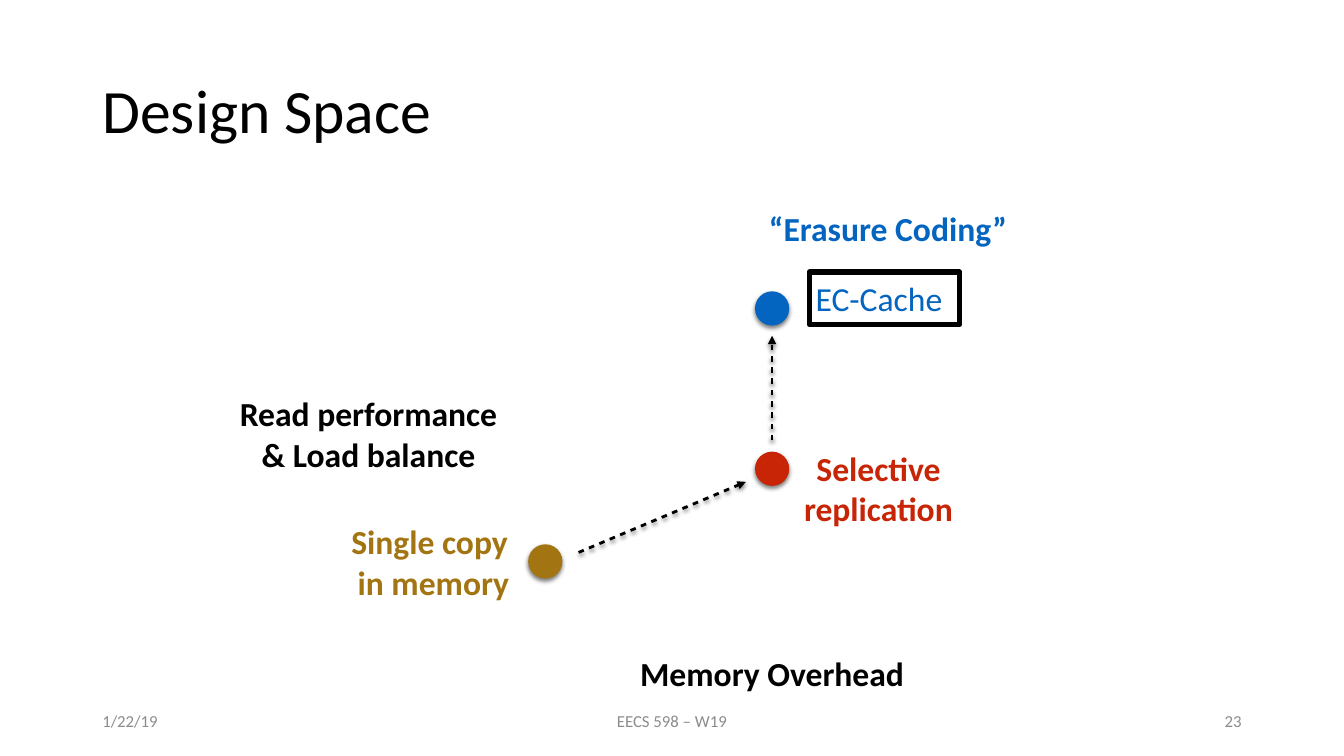
from dataclasses import dataclass

from lxml import etree
from pptx import Presentation
from pptx.dml.color import RGBColor
from pptx.enum.shapes import MSO_CONNECTOR as Connector, MSO_SHAPE as Preset
from pptx.enum.text import MSO_ANCHOR as Anchor, MSO_AUTO_SIZE as AutoSize, PP_ALIGN as Align
from pptx.oxml import parse_xml
from pptx.oxml.ns import nsdecls, qn
from pptx.util import Pt

COLORS = {
    "black": "000000",
    "grey": "8C8C8C",
    "gold": "A37512",
    "red": "C82506",
    "blue": "0365C0",
}
FONT = "Calibri"
DOT_SIZE = 24.5
INSET = 4.3
ONE_LINE, TWO_LINES = 37.4, 66.2
FOOTER_TOP, FOOTER_HEIGHT = 500.4, 28.8


@dataclass
class Label:
    lines: list[str]
    left: float
    top: float
    width: float
    color: str = "black"
    align: Align = Align.CENTER


@dataclass
class Dot:
    left: float
    top: float
    color: str


@dataclass
class Arrow:
    start: tuple[float, float]
    end: tuple[float, float]


@dataclass
class Footer:
    text: str
    left: float
    width: float
    align: Align


LABELS = [
    Label(["Memory Overhead"], 432, 462.2, 239),
    Label(["Read performance ", "& Load balance "], 144.7, 276.5, 242.6),
    Label(["Single copy ", "in memory"], 233.3, 367.9, 152.6, "gold"),
    Label(["Selective", "replication"], 557.3, 315.4, 140.4, "red"),
    Label(["“Erasure Coding”"], 545, 144, 223.2, "blue", Align.LEFT),
]
DOTS = [
    Dot(377.3, 388.8, "gold"),
    Dot(539.3, 322.6, "red"),
    Dot(539.3, 208.1, "blue"),
]
ARROWS = [
    Arrow((413.3, 394.6), (532.8, 344.2)),
    Arrow((551.5, 314.6), (551.5, 239.8)),
]
FOOTERS = [
    Footer("1/22/19", 66, 216, Align.LEFT),
    Footer("EECS 598 – W19", 318, 324, Align.CENTER),
    Footer("23", 678, 216, Align.RIGHT),
]


def rgb(name: str) -> RGBColor:
    return RGBColor.from_string(COLORS[name])


def write_text(box, lines: list[str], *, size: float = 24, color: str = "black",
               bold: bool = False, align: Align = Align.CENTER,
               inset: float | None = None, spacing: float | None = None) -> None:
    frame = box.text_frame
    frame.word_wrap = True
    frame.auto_size = AutoSize.NONE
    frame.vertical_anchor = Anchor.MIDDLE
    if inset is not None:
        frame.margin_left = frame.margin_right = Pt(inset)
        frame.margin_top = frame.margin_bottom = Pt(inset)
    for index, line in enumerate(lines):
        para = frame.paragraphs[0] if index == 0 else frame.add_paragraph()
        para.alignment = align
        para.line_spacing = spacing
        span = para.add_run()
        span.text = line
        span.font.name = FONT
        span.font.size = Pt(size)
        span.font.bold = bold
        span.font.color.rgb = rgb(color)


def add_shadow(shape) -> None:
    properties = shape._element.spPr
    for effects in properties.findall(qn("a:effectLst")):
        properties.remove(effects)
    properties.append(parse_xml(
        f'<a:effectLst {nsdecls("a")}>'
        f'<a:outerShdw blurRad="{Pt(3)}" dist="{Pt(2)}" dir="5400000" rotWithShape="0">'
        f'<a:srgbClr val="{COLORS["black"]}"><a:alpha val="50000"/></a:srgbClr>'
        '</a:outerShdw></a:effectLst>'))


def add_label(page, label: Label) -> None:
    height = ONE_LINE if len(label.lines) == 1 else TWO_LINES
    box = page.shapes.add_textbox(Pt(label.left), Pt(label.top), Pt(label.width), Pt(height))
    write_text(box, label.lines, color=label.color, bold=True, align=label.align, inset=INSET)


def add_dot(page, dot: Dot) -> None:
    circle = page.shapes.add_shape(Preset.OVAL, Pt(dot.left), Pt(dot.top),
                                   Pt(DOT_SIZE), Pt(DOT_SIZE))
    circle.fill.solid()
    circle.fill.fore_color.rgb = rgb(dot.color)
    circle.line.fill.background()
    add_shadow(circle)


def add_arrow(page, arrow: Arrow) -> None:
    points = [Pt(value) for value in (*arrow.start, *arrow.end)]
    connector = page.shapes.add_connector(Connector.STRAIGHT, *points)
    connector.line.width = Pt(2)
    connector.line.color.rgb = rgb("black")
    outline = connector._element.spPr.find(qn("a:ln"))
    dashes = etree.SubElement(outline, qn("a:custDash"))
    etree.SubElement(dashes, qn("a:ds"), d="200000", sp="200000")
    etree.SubElement(outline, qn("a:tailEnd"), type="triangle")
    add_shadow(connector)


def add_footer(page, footer: Footer) -> None:
    box = page.shapes.add_textbox(Pt(footer.left), Pt(FOOTER_TOP),
                                  Pt(footer.width), Pt(FOOTER_HEIGHT))
    write_text(box, [footer.text], size=12, color="grey", align=footer.align)


def main() -> None:
    deck = Presentation()
    deck.slide_width, deck.slide_height = Pt(960), Pt(540)
    page = deck.slides.add_slide(deck.slide_layouts[5])

    # Title and footer
    title = page.shapes.title
    title.left, title.top, title.width, title.height = Pt(66), Pt(28.8), Pt(828), Pt(104.4)
    write_text(title, ["Design Space"], size=44, align=Align.LEFT, spacing=0.9)
    for footer in FOOTERS:
        add_footer(page, footer)

    # Axis names and design options
    for label in LABELS:
        add_label(page, label)
    for dot in DOTS:
        add_dot(page, dot)

    # Framed system name
    frame_box = page.shapes.add_shape(Preset.RECTANGLE, Pt(578.2), Pt(194.4),
                                      Pt(107.3), Pt(ONE_LINE))
    frame_box.shadow.inherit = False
    frame_box.fill.background()
    frame_box.line.width = Pt(4)
    frame_box.line.color.rgb = rgb("black")
    write_text(frame_box, ["EC-Cache"], color="blue", align=Align.LEFT, inset=INSET)

    # Steps between the options
    for arrow in ARROWS:
        add_arrow(page, arrow)

    deck.save("out.pptx")


if __name__ == "__main__":
    main()
